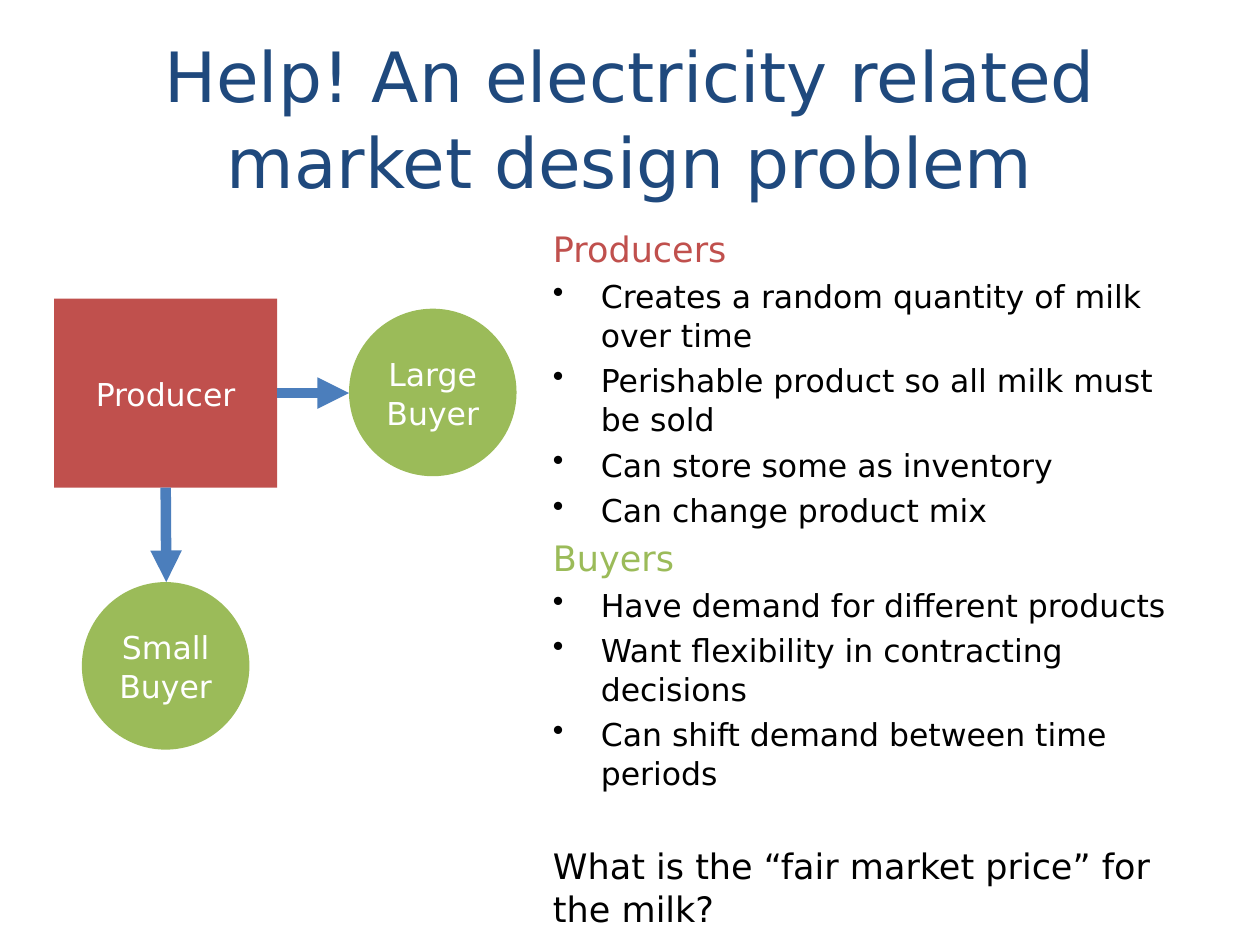
"""Build a slide on a market design problem with producers and buyers."""
from dataclasses import dataclass

from lxml import etree
from pptx import Presentation
from pptx import util as u
from pptx.dml.color import RGBColor
from pptx.enum import shapes, text
from pptx.oxml import ns

Inches = u.Inches


@dataclass(frozen=True)
class Theme:
    font: str = "DejaVu Sans"
    navy: str = "1F497D"
    red: str = "C0504D"
    green: str = "9BBB59"
    blue: str = "4B7EBC"
    black: str = "000000"
    white: str = "FFFFFF"
    title: float = 39.6
    head: float = 20
    base: float = 18


theme = Theme()


def write(frame, words, size=theme.base, color=theme.black, align="LEFT",
          first=True, before=0, bullet=False):
    para = frame.paragraphs[0] if first else frame.add_paragraph()
    para.alignment = getattr(text.PP_ALIGN, align)
    para.line_spacing = 1.03
    para.space_before = u.Pt(before)
    if bullet:
        props = para._p.get_or_add_pPr()
        props.set("marL", str(Inches(0.38)))
        props.set("indent", str(-Inches(0.38)))
        etree.SubElement(props, ns.qn("a:buChar"), char="•")
    para.text = words
    for run in para.runs:
        run.font.name = theme.font
        run.font.size = u.Pt(size)
        run.font.color.rgb = RGBColor.from_string(color)


deck = Presentation()
deck.slide_width, deck.slide_height = Inches(10), Inches(7.5)
slide = deck.slides.add_slide(deck.slide_layouts[5])

title = slide.shapes.title
title.left, title.top = Inches(0.5), Inches(0.3)
title.width, title.height = Inches(9), Inches(1.25)
title.text_frame.auto_size = text.MSO_AUTO_SIZE.NONE
title.text_frame.vertical_anchor = text.MSO_ANCHOR.MIDDLE
write(title.text_frame, "Help! An electricity related market design problem",
      size=theme.title, color=theme.navy, align="CENTER")

box = slide.shapes.add_textbox(Inches(4.29), Inches(1.75), Inches(5.21), Inches(4.95))
body = box.text_frame
body.word_wrap = True
groups = [
    ("Producers", theme.red, [
        "Creates a random quantity of milk over time",
        "Perishable product so all milk must be sold",
        "Can store some as inventory",
        "Can change product mix",
    ]),
    ("Buyers", theme.green, [
        "Have demand for different products",
        "Want flexibility in contracting decisions",
        "Can shift demand between time periods",
    ]),
]
for i, (head, color, points) in enumerate(groups):
    write(body, head, size=theme.head, color=color, first=i == 0, before=4 if i else 0)
    for point in points:
        write(body, point, first=False, before=3.6, bullet=True)
write(body, "What is the “fair market price” for the milk?", size=theme.head,
      first=False, before=29)

nodes = {}
for name, kind, color, x, y, w, h in [
    ("Producer", "RECTANGLE", theme.red, 0.43, 2.37, 1.77, 1.5),
    ("Large\vBuyer", "OVAL", theme.green, 2.77, 2.45, 1.33, 1.33),
    ("Small\vBuyer", "OVAL", theme.green, 0.65, 4.62, 1.33, 1.33),
]:
    node = slide.shapes.add_shape(getattr(shapes.MSO_SHAPE, kind),
                                  Inches(x), Inches(y), Inches(w), Inches(h))
    node.shadow.inherit = False
    node.fill.solid()
    node.fill.fore_color.rgb = RGBColor.from_string(color)
    node.line.fill.background()
    node.text_frame.word_wrap = True
    node.text_frame.vertical_anchor = text.MSO_ANCHOR.MIDDLE
    write(node.text_frame, name, color=theme.white, align="CENTER")
    nodes[name] = node

for side, x, y, end_x, end_y in [(3, 2.2, 3.12, 2.77, 3.12), (2, 1.32, 3.87, 1.32, 4.62)]:
    arrow = slide.shapes.add_connector(shapes.MSO_CONNECTOR.STRAIGHT, Inches(x),
                                       Inches(y), Inches(end_x), Inches(end_y))
    arrow.begin_connect(nodes["Producer"], side)
    arrow.line.width = u.Pt(6)
    arrow.line.color.rgb = RGBColor.from_string(theme.blue)
    etree.SubElement(arrow.line._get_or_add_ln(), ns.qn("a:tailEnd"), type="triangle")
    etree.SubElement(arrow._element.spPr, ns.qn("a:effectLst"))

deck.save("out.pptx")
